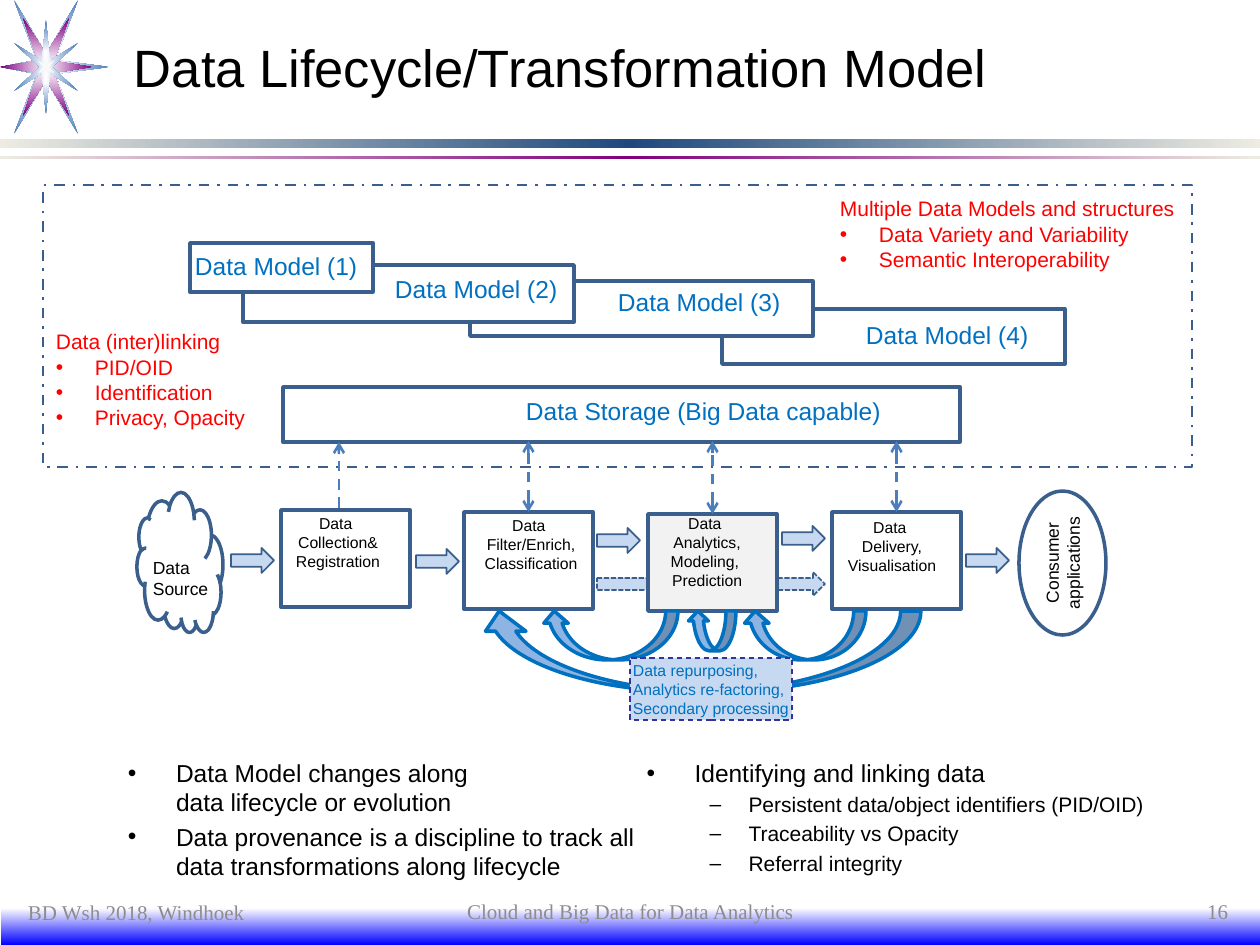
from lxml import etree
from pptx import Presentation
from pptx.dml.color import RGBColor
from pptx.enum.dml import MSO_LINE
from pptx.enum.shapes import MSO_CONNECTOR, MSO_SHAPE
from pptx.enum.text import MSO_ANCHOR, PP_ALIGN
from pptx.oxml import parse_xml
from pptx.oxml.ns import nsdecls, qn
from pptx.util import Emu, Pt

PX = 914400 / 126
RECT, ARROW, CURVED = MSO_SHAPE.RECTANGLE, MSO_SHAPE.RIGHT_ARROW, MSO_SHAPE.CURVED_UP_ARROW
OVAL, CLOUD = MSO_SHAPE.OVAL, MSO_SHAPE.CLOUD
LEFT, CENTER, RIGHT = PP_ALIGN.LEFT, PP_ALIGN.CENTER, PP_ALIGN.RIGHT
TOP, MIDDLE = MSO_ANCHOR.TOP, MSO_ANCHOR.MIDDLE
DASH, DASH_DOT, SMALL_DASH = MSO_LINE.DASH, MSO_LINE.DASH_DOT, MSO_LINE.SQUARE_DOT
NAVY, BLUE, PALE, RED = "3A5F8C", "0070C0", "C6D9F1", "FF0000"
BLACK, WHITE, GRAY = "000000", "FFFFFF", "8C8C8C"


def px(value):
    return Emu(round(value * PX))


def color(hex_text):
    return RGBColor.from_string(hex_text)


def add_box(slide, kind, box, fill=None, line=NAVY, width=2, dash=None, flip=None):
    shape = slide.shapes.add_shape(kind, *map(px, box))
    shape.shadow.inherit = False
    if fill:
        shape.fill.solid()
        shape.fill.fore_color.rgb = color(fill)
    else:
        shape.fill.background()
    if line:
        shape.line.color.rgb = color(line)
        shape.line.width = Pt(width)
        if dash:
            shape.line.dash_style = dash
    else:
        shape.line.fill.background()
    if flip:
        shape._element.spPr.get_or_add_xfrm().set(flip, "1")
    return shape


def set_gradient(shape, colors, direction):
    last = len(colors) - 1
    stops = "".join(
        f'<a:gs pos="{100000 * i // last}"><a:srgbClr val="{c}"/></a:gs>'
        for i, c in enumerate(colors))
    shape.fill.gradient()
    properties = shape._element.spPr
    properties.replace(properties.find(qn("a:gradFill")), parse_xml(
        f'<a:gradFill {nsdecls("a")}><a:gsLst>{stops}</a:gsLst>{direction}</a:gradFill>'))


def linear(degrees):
    return f'<a:lin ang="{degrees * 60000}" scaled="0"/>'


def add_bullet(paragraph, character, margin, hanging):
    properties = paragraph._p.get_or_add_pPr()
    properties.set("marL", str(px(margin)))
    properties.set("indent", str(px(-hanging)))
    etree.SubElement(properties, qn("a:buFont")).set("typeface", "Arial")
    etree.SubElement(properties, qn("a:buChar")).set("char", character)


def write(shape, lines, size, ink=BLACK, align=LEFT, anchor=TOP, inset=(3, 3),
          font="Arial", wrap=True):
    frame = shape.text_frame
    frame.word_wrap = wrap
    frame.vertical_anchor = anchor
    frame.margin_left = frame.margin_right = px(inset[0])
    frame.margin_top = frame.margin_bottom = px(inset[1])
    frame.paragraphs[0].text = lines[0]
    for line in lines[1:]:
        frame.add_paragraph().text = line
    for paragraph in frame.paragraphs:
        paragraph.alignment = align
        for run in paragraph.runs:
            run.font.size = Pt(size)
            run.font.name = font
            run.font.color.rgb = color(ink)
    return frame


def add_text(slide, box, lines, size, **style):
    return write(slide.shapes.add_textbox(*map(px, box)), lines, size, **style)


def add_star(slide, center, quadrant, colors):
    """Mirror the points of the upper right quarter into a whole star."""
    right = quadrant + [(x, -y) for x, y in reversed(quadrant[:-1])]
    left = [(-x, y) for x, y in reversed(right[1:-1])]
    points = [(max(center[0] + x, 0), center[1] + y) for x, y in right + left]
    builder = slide.shapes.build_freeform(*points[0], scale=PX)
    builder.add_line_segments(points[1:], close=True)
    star = builder.convert_to_shape()
    star.shadow.inherit = False
    star.line.fill.background()
    set_gradient(star, colors, '<a:path path="rect"><a:fillToRect l="50000" t="50000" '
                               'r="50000" b="50000"/></a:path>')


def add_backdrop(slide):
    for box, colors, angle in [
            ((1, 908, 1259, 37), [WHITE, "0000FF"], 90),
            ((0, 139, 1260, 9), ["EEECE1", "1F497D", "EEECE1"], 0),
            ((0, 156, 1260, 3), ["EEECE1", "800080", "EEECE1"], 0)]:
        set_gradient(add_box(slide, RECT, box, line=None), colors, linear(angle))
    for quadrant, colors in [
            ([(0, -13), (32, -67), (9, -7), (63, 0)], [WHITE, "4F81BD"]),
            ([(0, -13), (23, -49), (8, -6), (46, 0)], [WHITE, "800080"]),
            ([(0, -47), (4, -6), (32, -24), (6, 0)], [WHITE, "4F81BD"]),
            ([(0, -12), (1, -3), (8, -6), (3, 0)], ["F9F9F9", "F9F9F9"])]:
        add_star(slide, (46, 67), quadrant, colors)


def add_red_list(slide, box, lines, wrap):
    frame = add_text(slide, box, lines, 12, ink=RED, wrap=wrap)
    for paragraph in frame.paragraphs[1:]:
        add_bullet(paragraph, "•", 39, 39)


def add_models(slide, box):
    left, top = box[:2]
    add_box(slide, RECT, box, width=1.5, dash=DASH_DOT)
    # Model boxes from back to front: box, then label position
    models = [((679, 124, 343, 55), (820, 132)), ((427, 96, 343, 55), (572, 99)),
              ((200, 80, 331, 57), (349, 86)), ((147, 58, 183, 49), (149, 63))]
    for (x, y, w, h), _ in models:
        add_box(slide, RECT, (left + x, top + y, w, h), WHITE)
    for number, (_, (x, y)) in zip((4, 3, 2, 1), models):
        add_text(slide, (left + x, top + y, 180, 35), [f"Data Model ({number})"], 14, ink=BLUE)
    add_red_list(slide, (left + 794, top + 8, 343, 82),
                 ["Multiple Data Models and structures", "Data Variety and Variability",
                  "Semantic Interoperability"], False)
    add_red_list(slide, (left + 10, top + 141, 234, 132),
                 ["Data (inter)linking", "PID/OID", "Identification", "Privacy, Opacity"], True)
    add_box(slide, RECT, (left + 240, top + 202, 677, 55), WHITE)
    add_text(slide, (left + 480, top + 208, 380, 35), ["Data Storage (Big Data capable)"], 14,
             ink=BLUE)


def add_storage_link(slide, x, top, bottom, stage=None):
    link = slide.shapes.add_connector(MSO_CONNECTOR.STRAIGHT, px(x), px(bottom), px(x), px(top))
    if stage:
        link.begin_connect(stage, 0)
    link.line.color.rgb = color("4B7EBC")
    link.line.width = Pt(1.5)
    link.line.dash_style = DASH
    for end in ("headEnd", "tailEnd") if stage else ("tailEnd",):
        etree.SubElement(link.line._get_or_add_ln(), qn(f"a:{end}")).set("type", "arrow")
    etree.SubElement(link._element.spPr, qn("a:effectLst"))


def add_pipeline(slide, box):
    left, top, width, height = box
    # Ends of the flow
    consumer = add_box(slide, OVAL, (left + width - 87, top, 87, height), WHITE)
    write(consumer, ["Consumer applications"], 10, align=CENTER, anchor=MIDDLE, inset=(0, 0))
    consumer.text_frame._txBody.bodyPr.set("vert", "vert270")
    add_box(slide, CLOUD, (left, top + 2, 86, 140), flip="flipV")
    add_text(slide, (left + 16, top + 66, 74, 43), ["Data", "Source"], 10, inset=(0, 0))
    # Arrows between stages
    add_box(slide, ARROW, (left + 460, top + 81, 228, 24), PALE, width=1, dash=SMALL_DASH)
    for x, y in [(94, 57), (279, 58), (460, 37), (645, 35), (829, 57)]:
        add_box(slide, ARROW, (left + x, top + y, 43, 25), PALE, width=1)
    # Stages: box position, fill, text box, lines
    stages = [
        ((144, 19), None, (143, 17, 116, 71), ["Data ", "Collection& Registration"]),
        ((327, 21), None, (327, 19, 134, 71), ["Data ", "Filter/Enrich,", "Classification"]),
        ((511, 23), "F2F2F2", (511, 17, 118, 89),
         ["Data ", "Analytics, Modeling, ", "Prediction"]),
        ((695, 21), None, (695, 21, 120, 71), ["Data ", "Delivery,", "Visualisation"])]
    boxes = []
    for (x, y), fill, (text_x, text_y, w, h), lines in stages:
        boxes.append(add_box(slide, RECT, (left + x, top + y, 129, 97), fill))
        add_text(slide, (left + text_x, top + text_y, w, h), lines, 9, align=CENTER, inset=(6, 6))
    # Feedback loops
    for x, w, h in [(405, 136, 49), (342, 442, 81), (606, 123, 49), (551, 48, 40)]:
        add_box(slide, CURVED, (left + x, top + 120, w, h), "8EB4E3", BLUE, flip="flipH")
    note = add_box(slide, RECT, (left + 493, top + 167, 162, 62), PALE, "333399", 0.75, DASH)
    write(note, ["Data repurposing,", "Analytics re-factoring,", "Secondary processing"], 9,
          ink=BLUE, wrap=False)
    # Links up to the storage
    add_storage_link(slide, left + 202, top - 49, top + 17)
    for x, stage in zip((391.5, 575.5, 759.5), boxes[1:]):
        add_storage_link(slide, left + x, top - 50, top + 21, stage)


def add_body(slide, box):
    lines = ["Data Model changes along \vdata lifecycle or evolution",
             "Data provenance is a discipline to track all data transformations along lifecycle",
             "Identifying and linking data", "Persistent data/object identifiers (PID/OID)",
             "Traceability vs Opacity", "Referral integrity"]
    frame = add_text(slide, box, lines, 14, inset=(13, 6))
    frame._txBody.bodyPr.set("numCol", "2")
    for index, paragraph in enumerate(frame.paragraphs):
        if index:
            paragraph.space_before = Pt(2.8 if index < 3 else 2.4)
        if index < 3:
            add_bullet(paragraph, "•", 48, 48)
        else:
            paragraph.level = 1
            add_bullet(paragraph, "–", 102, 39)
            paragraph.runs[0].font.size = Pt(12)


def add_footer(slide):
    for box, text, align in [((15, 895, 312, 34), "BD Wsh 2018, Windhoek", LEFT),
                             ((431, 894, 399, 35), "Cloud and Big Data for Data Analytics", CENTER),
                             ((948, 894, 293, 35), "16", RIGHT)]:
        add_text(slide, box, [text], 12, ink=GRAY, align=align, anchor=MIDDLE,
                 inset=(13, 6), font="Times New Roman")


def main():
    presentation = Presentation()
    presentation.slide_width, presentation.slide_height = px(1260), px(945)
    slide = presentation.slides.add_slide(presentation.slide_layouts[6])
    add_backdrop(slide)
    add_text(slide, (124, 20, 1074, 93), ["Data Lifecycle/Transformation Model"], 30,
             anchor=MIDDLE, inset=(10, 6))
    add_body(slide, (115, 752, 1063, 123))
    add_footer(slide)
    add_models(slide, (43, 185, 1149, 282))
    add_pipeline(slide, (137, 491, 969, 144))
    presentation.save("out.pptx")


if __name__ == "__main__":
    main()
